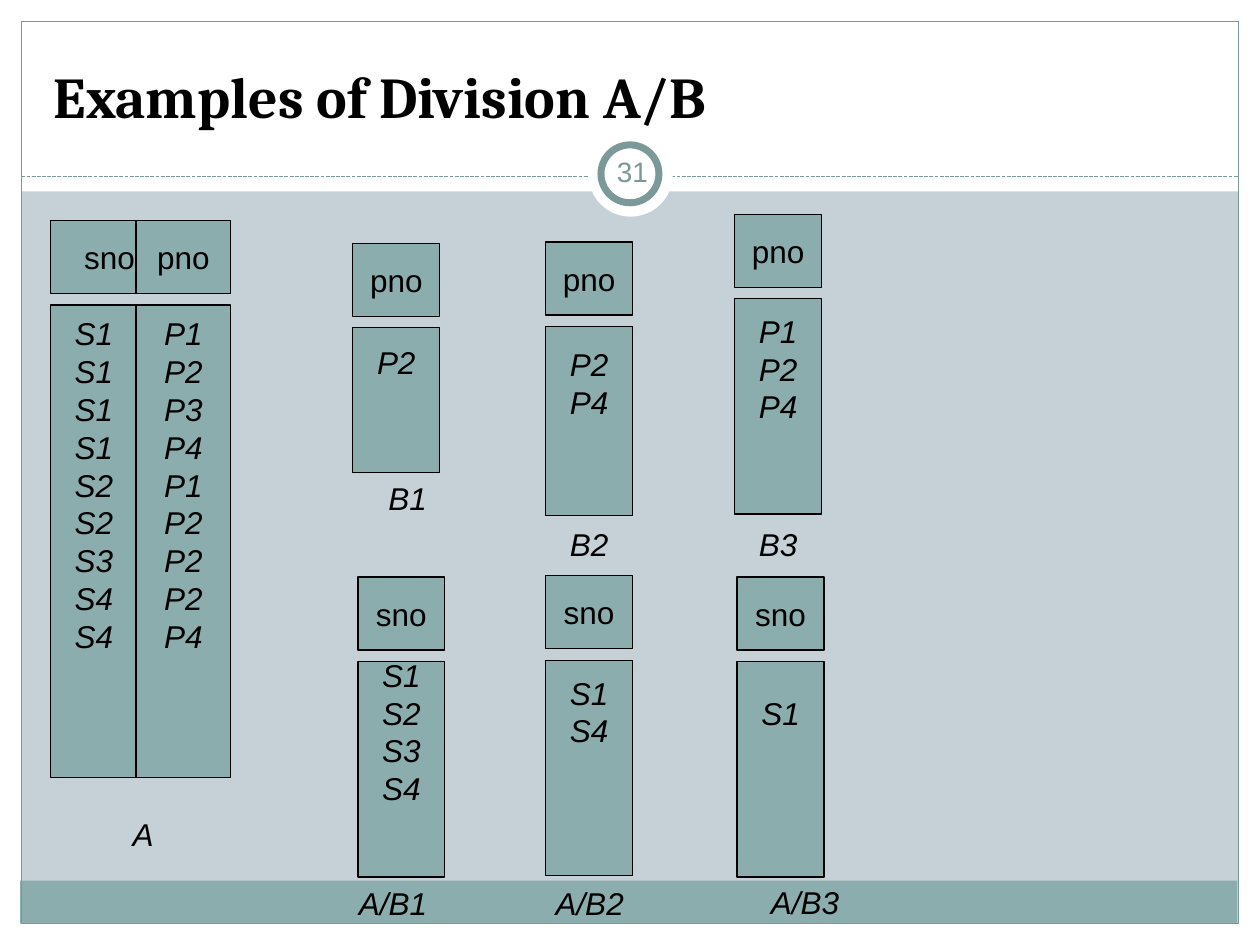
from lxml import etree
from pptx import Presentation
from pptx.dml.color import RGBColor
from pptx.enum import dml, shapes, text
from pptx.oxml import ns
from pptx.util import Inches, Pt

TEAL, EDGE, WHITE, BLACK = "8CADAE", "7C999A", "FFFFFF", "000000"
LINE_HEIGHT = 0.3
HEADER_HEIGHT = 0.58
HEADER_STEP = 0.67

TITLE = "Examples of Division A/B"
PAGE_NUMBER = "31"

# heading, values, left, top, header width, body width, body height, spare lines
COLUMNS = [
    ("sno", "S1 S1 S1 S1 S2 S2 S3 S4 S4", 0.4, 1.75, 0.94, 0.69, 3.75, 3),
    ("pno", "P1 P2 P3 P4 P1 P2 P2 P2 P4", 1.08, 1.75, 0.75, 0.75, 3.75, 3),
    ("pno", "P2", 2.8, 1.93, 0.69, 0.69, 1.15, 2),
    ("pno", "P1 P2 P4", 5.83, 1.7, 0.69, 0.69, 1.71, 2),
    ("pno", "P2 P4", 4.33, 1.92, 0.69, 0.69, 1.5, 2),
    ("sno", "S1 S2 S3 S4", 2.84, 4.58, 0.69, 0.69, 1.71, 2),
    ("sno", "S1 S4", 4.33, 4.57, 0.69, 0.69, 1.71, 3),
    ("sno", "S1", 5.85, 4.58, 0.69, 0.69, 1.71, 3),
]

LABELS = [
    ("A", 0.94, 6.42, 0.39),
    ("B1", 2.98, 3.75, 0.51),
    ("B2", 4.42, 4.12, 0.51),
    ("B3", 5.92, 4.12, 0.51),
    ("A/B1", 2.58, 6.97, 1.08),
    ("A/B2", 4.14, 6.97, 1.08),
    ("A/B3", 5.85, 6.96, 1.08),
]

BANDS = [
    (0, 7.33, 10, 0.17, WHITE),
    (0, 0, 10, 1.52, WHITE),
    (0, 0, 0.17, 7.5, WHITE),
    (9.83, 0, 0.17, 7.5, WHITE),
    (0.16, 6.99, 9.66, 0.34, TEAL),
]


def color(value):
    return RGBColor.from_string(value)


def add_panel(page, place, fill=None, line=None, width=0.75, kind="RECTANGLE"):
    panel = page.shapes.add_shape(
        getattr(shapes.MSO_SHAPE, kind), *map(Inches, place))
    panel.shadow.inherit = False
    if fill:
        panel.fill.solid()
        panel.fill.fore_color.rgb = color(fill)
    else:
        panel.fill.background()
    if line:
        panel.line.color.rgb = color(line)
        panel.line.width = Pt(width)
    else:
        panel.line.fill.background()
    return panel


def write(box, lines, size=18, ink=BLACK, font="Arial", bold=False,
          italic=False, align="CENTER", anchor="MIDDLE", wrap=False,
          margins=(0, 0, 0, 0)):
    frame = box.text_frame
    frame.word_wrap = wrap
    frame.vertical_anchor = getattr(text.MSO_ANCHOR, anchor)
    (frame.margin_left, frame.margin_top,
     frame.margin_right, frame.margin_bottom) = map(Inches, margins)
    frame.text = "\n".join(lines)
    for para in frame.paragraphs:
        para.alignment = getattr(text.PP_ALIGN, align)
        para.font.name = font
        para.font.size = Pt(size)
        para.font.bold = bold
        para.font.italic = italic
        para.font.color.rgb = color(ink)


def add_text(page, place, content, **style):
    box = page.shapes.add_textbox(*map(Inches, place))
    write(box, [content], wrap=True, **style)


def add_frame(page):
    page.background.fill.solid()
    page.background.fill.fore_color.rgb = color("C5D1D7")
    for *place, fill in BANDS:
        add_panel(page, place, fill)
    add_panel(page, (0.17, 0.17, 9.66, 7.16), line=EDGE)
    rule = page.shapes.add_connector(
        shapes.MSO_CONNECTOR.STRAIGHT,
        Inches(0.17), Inches(1.4), Inches(9.83), Inches(1.4))
    rule.line.color.rgb = color(EDGE)
    rule.line.width = Pt(0.75)
    rule.line.dash_style = dml.MSO_LINE.SQUARE_DOT
    etree.SubElement(rule._element.spPr, ns.qn("a:effectLst"))
    add_panel(page, (4.67, 1.05, 0.67, 0.67), WHITE, kind="OVAL")
    add_panel(page, (4.77, 1.15, 0.46, 0.46), WHITE, EDGE, 4, "OVAL")


def add_column(page, heading, values, left, top, header_width, body_width,
               body_height, spare_lines):
    header = add_panel(
        page, (left, top, header_width, HEADER_HEIGHT), TEAL, BLACK)
    write(header, [heading])
    body = add_panel(
        page, (left, top + HEADER_STEP, body_width, body_height), TEAL, BLACK)
    write(body, values.split(), italic=True,
          margins=(0, 0, 0, spare_lines * LINE_HEIGHT))


def main():
    deck = Presentation()
    deck.slide_width, deck.slide_height = Inches(10), Inches(7.5)
    page = deck.slides.add_slide(deck.slide_layouts[6])
    add_frame(page)
    add_text(page, (0.33, 0.25, 9.33, 0.83), TITLE, size=33, font="Cambria",
             bold=True, align="LEFT", anchor="BOTTOM",
             margins=(0.1, 0.05, 0.1, 0.05))
    add_text(page, (4.77, 1.12, 0.5, 0.48), PAGE_NUMBER, size=16, ink="7B9899")
    for column in COLUMNS:
        add_column(page, *column)
    for name, left, top, width in LABELS:
        add_text(page, (left, top, width, 0.4), name, italic=True)
    deck.save("out.pptx")


if __name__ == "__main__":
    main()
